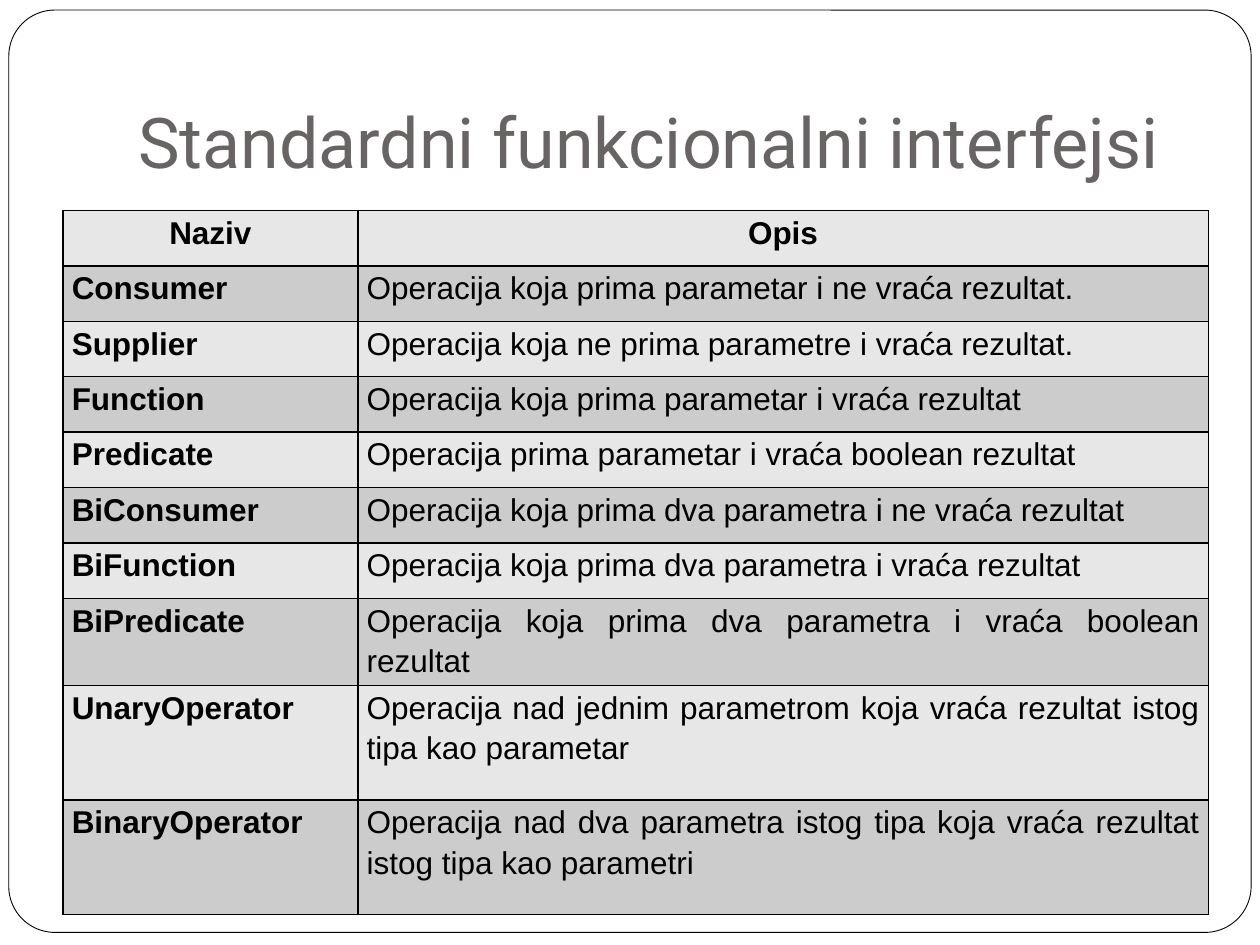
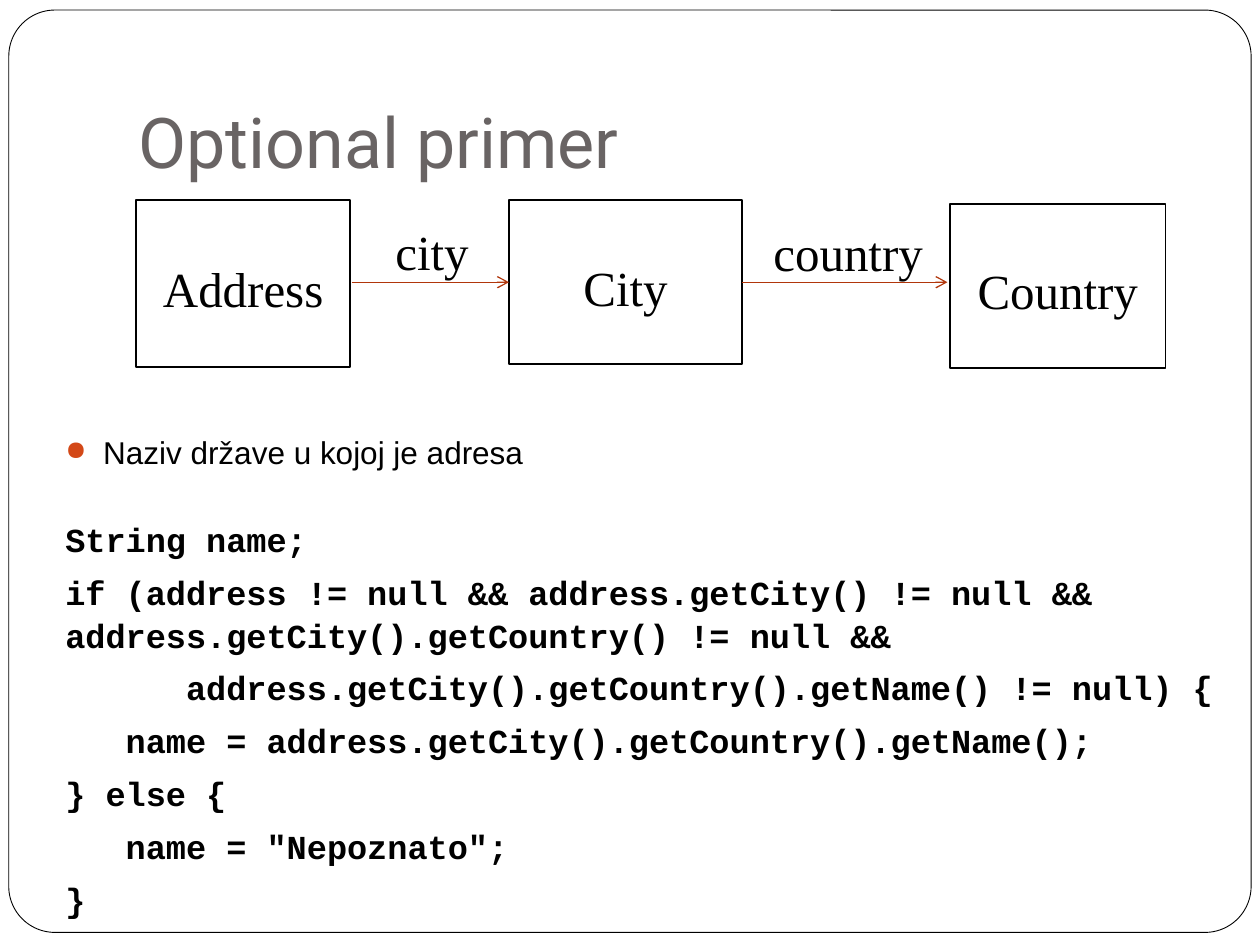
from lxml.etree import SubElement
from pptx import Presentation
from pptx.dml.color import RGBColor
from pptx.enum.shapes import MSO_CONNECTOR as Connector, MSO_SHAPE as Preset
from pptx.enum.text import MSO_ANCHOR as Anchor, PP_ALIGN as Align
from pptx.oxml.ns import qn
from pptx.util import Inches, Pt

BLACK = RGBColor(0, 0, 0)
WHITE = RGBColor(255, 255, 255)
TITLE_GRAY = RGBColor(0x69, 0x64, 0x64)
LIGHT_ROW = RGBColor(0xE7, 0xE7, 0xE7)
DARK_ROW = RGBColor(0xCC, 0xCC, 0xCC)
BULLET_ORANGE = RGBColor(0xD3, 0x48, 0x17)
ARROW_RED = RGBColor(0xB1, 0x36, 0x0B)

TITLE_FONT = dict(name="Roboto", size=Pt(40), color=TITLE_GRAY)
BODY_FONT = dict(name="Arial", size=Pt(18), color=BLACK)
BOLD_FONT = dict(BODY_FONT, bold=True)
CODE_FONT = dict(name="Courier New", size=Pt(19.2), color=BLACK, bold=True)
DIAGRAM_FONT = dict(name="Times New Roman", size=Pt(28), color=BLACK)
DIAGRAM_SPACING = dict(line_spacing=1.15, space_after=Pt(10))
CELL_MARGINS = dict(margin_left=Inches(0.07), margin_right=Inches(0.07),
                    margin_top=0, margin_bottom=0)

INTERFACES = [
    ("Naziv", "Opis"),
    ("Consumer", "Operacija koja prima parametar i ne vraća rezultat."),
    ("Supplier", "Operacija koja ne prima parametre i vraća rezultat."),
    ("Function", "Operacija koja prima parametar i vraća rezultat"),
    ("Predicate", "Operacija prima parametar i vraća boolean rezultat"),
    ("BiConsumer", "Operacija koja prima dva parametra i ne vraća rezultat"),
    ("BiFunction", "Operacija koja prima dva parametra i vraća rezultat"),
    ("BiPredicate", "Operacija koja prima dva parametra i vraća boolean rezultat"),
    ("UnaryOperator", "Operacija nad jednim parametrom koja vraća rezultat "
                      "istog tipa kao parametar"),
    ("BinaryOperator", "Operacija nad dva parametra istog tipa koja vraća rezultat "
                       "istog tipa kao parametri"),
]
COLUMN_WIDTHS = (2.34, 6.75)
ROW_HEIGHTS = [0.44] * 8 + [0.91] * 2

CODE_LINES = [
    "String name;",
    "if (address != null && address.getCity() != null && "
    "address.getCity().getCountry() != null &&",
    "      address.getCity().getCountry().getName() != null) {",
    "   name = address.getCity().getCountry().getName();",
    "} else {",
    '   name = "Nepoznato";',
    "}",
]
ARROW_LABELS = [("city", (3.04, 1.64, 1.14, 0.62)),
                ("country", (6.04, 1.65, 1.64, 0.62))]
CLASS_BOXES = [("Address", (1.08, 1.59, 1.7, 1.32)),
               ("City", (4.04, 1.59, 1.85, 1.3)),
               ("Country", (7.54, 1.62, 1.71, 1.3))]
ARROW_SPANS = [(2.79, 4.04), (5.89, 7.52)]
ARROW_Y = 2.24


def apply_format(target, values):
    """Set every attribute named in a dict of format values."""
    for name, value in values.items():
        setattr(target, name, value)


def write(para, text, font, **spacing):
    """Fill a paragraph with one formatted span."""
    apply_format(para, spacing)
    span = para.add_run()
    span.text = text
    for name, value in font.items():
        if name == "color":
            span.font.color.rgb = value
        else:
            setattr(span.font, name, value)


def add_text_box(page, place, **frame_values):
    """Add a wrapping text box and return its text frame."""
    frame = page.shapes.add_textbox(*map(Inches, place)).text_frame
    apply_format(frame, dict(word_wrap=True, **frame_values))
    return frame


def add_box(page, place, preset=Preset.RECTANGLE, line_width=None):
    """Add a white shape, outlined in black if a line width is given."""
    box = page.shapes.add_shape(preset, *map(Inches, place))
    box.shadow.inherit = False
    box.fill.solid()
    box.fill.fore_color.rgb = WHITE
    if line_width is None:
        box.line.fill.background()
    else:
        box.line.color.rgb = BLACK
        box.line.width = Pt(line_width)
    return box


def add_diagram_text(page, text, place, align, anchor, line_width=None):
    """Add a diagram rectangle holding one word."""
    frame = add_box(page, place, line_width=line_width).text_frame
    apply_format(frame, dict(word_wrap=True, vertical_anchor=anchor))
    write(frame.paragraphs[0], text, DIAGRAM_FONT, alignment=align, **DIAGRAM_SPACING)


def add_arrow(page, start, end):
    """Add a horizontal open-headed arrow of the class diagram."""
    arrow = page.shapes.add_connector(
        Connector.STRAIGHT, *map(Inches, (start, ARROW_Y, end, ARROW_Y)))
    arrow.line.color.rgb = ARROW_RED
    arrow.line.width = Pt(0.75)
    SubElement(arrow.line._get_or_add_ln(), qn("a:tailEnd"), type="arrow")
    SubElement(arrow._element.spPr, qn("a:effectLst"))


def add_page(deck, title):
    """Add a slide with the rounded frame and its title."""
    page = deck.slides.add_slide(deck.slide_layouts[6])
    border = add_box(page, (0.07, 0.08, 9.86, 7.32), Preset.ROUNDED_RECTANGLE, 0.5)
    border.adjustments[0] = 0.05
    frame = add_text_box(page, (1, 0.3, 8.5, 1.25), vertical_anchor=Anchor.BOTTOM,
                         margin_bottom=Inches(0.1))
    write(frame.paragraphs[0], title, TITLE_FONT)
    return page


def add_borders(cell):
    """Draw a thin black line on all sides of a cell."""
    properties = cell._tc.get_or_add_tcPr()
    for side in ("lnL", "lnR", "lnT", "lnB"):
        line = SubElement(properties, qn(f"a:{side}"), w=str(Pt(1)))
        fill = SubElement(line, qn("a:solidFill"))
        SubElement(fill, qn("a:srgbClr"), val=str(BLACK))


def add_interface_table(page):
    """Add the banded table of functional interfaces."""
    place = (0.5, 1.67, sum(COLUMN_WIDTHS), sum(ROW_HEIGHTS))
    table = page.shapes.add_table(
        len(INTERFACES), len(COLUMN_WIDTHS), *map(Inches, place)).table
    apply_format(table, dict(first_row=False, horz_banding=False))
    for column, width in zip(table.columns, COLUMN_WIDTHS):
        column.width = Inches(width)
    for index, (texts, height) in enumerate(zip(INTERFACES, ROW_HEIGHTS)):
        row = table.rows[index]
        row.height = Inches(height)
        for position, (cell, text) in enumerate(zip(row.cells, texts)):
            apply_format(cell, CELL_MARGINS)
            add_borders(cell)
            cell.fill.solid()
            cell.fill.fore_color.rgb = DARK_ROW if index % 2 else LIGHT_ROW
            is_bold = index == 0 or position == 0
            write(cell.text_frame.paragraphs[0], text,
                  BOLD_FONT if is_bold else BODY_FONT, line_spacing=1.15,
                  alignment=Align.JUSTIFY if index else Align.CENTER)


def add_bullet(para):
    """Give a paragraph a hanging orange bullet."""
    properties = para._p.get_or_add_pPr()
    properties.set("marL", str(Inches(0.3)))
    properties.set("indent", str(-Inches(0.3)))
    color = SubElement(properties, qn("a:buClr"))
    SubElement(color, qn("a:srgbClr"), val=str(BULLET_ORANGE))
    SubElement(properties, qn("a:buSzPct"), val="85000")
    SubElement(properties, qn("a:buChar"), char="●")


def add_code_example(page):
    """Add the bulleted task and the code that solves it."""
    frame = add_text_box(page, (0.42, 3.39, 9.4, 3.8))
    task = frame.paragraphs[0]
    add_bullet(task)
    write(task, "Naziv države u kojoj je adresa", BODY_FONT)
    for index, line in enumerate(CODE_LINES):
        write(frame.add_paragraph(), line, CODE_FONT, line_spacing=1.06,
              space_before=Pt(5.8 if index else 26))


def add_class_diagram(page):
    """Add the three classes, the arrows between them and their labels."""
    for text, place in ARROW_LABELS:
        add_diagram_text(page, text, place, Align.LEFT, Anchor.TOP)
    for text, place in CLASS_BOXES:
        add_diagram_text(page, text, place, Align.CENTER, Anchor.MIDDLE, 1)
    for start, end in ARROW_SPANS:
        add_arrow(page, start, end)


def main():
    """Build both slides and save the deck."""
    deck = Presentation()
    deck.slide_width, deck.slide_height = Inches(10), Inches(7.5)
    add_interface_table(add_page(deck, "Standardni funkcionalni interfejsi"))
    example = add_page(deck, "Optional primer")
    add_code_example(example)
    add_class_diagram(example)
    deck.save("out.pptx")


if __name__ == "__main__":
    main()
